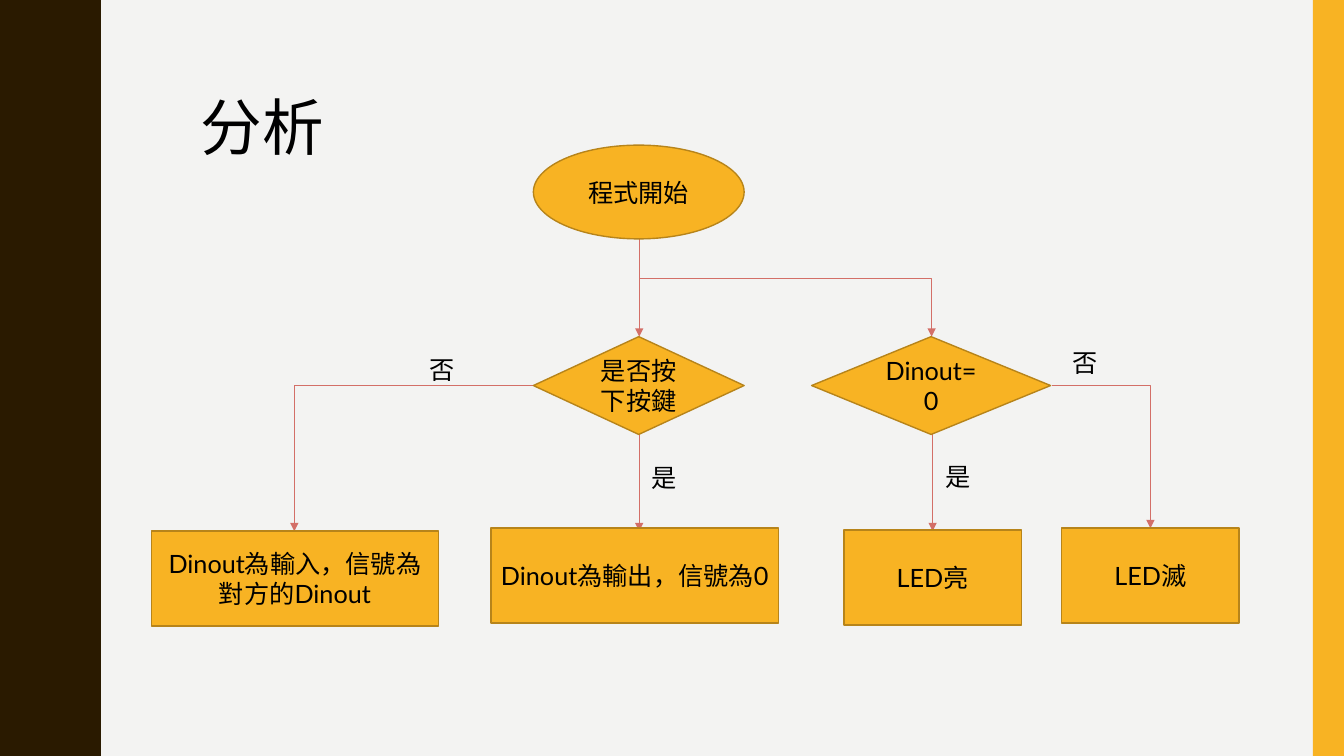
from typing import NamedTuple

from lxml.etree import SubElement
from pptx import Presentation
from pptx.dml.color import RGBColor
from pptx.enum.shapes import MSO_CONNECTOR as Link, MSO_SHAPE as Form
from pptx.enum.text import MSO_ANCHOR as Anchor, MSO_AUTO_SIZE as Fit, PP_ALIGN as Align
from pptx.oxml.ns import qn
from pptx.util import Inches, Pt

PAPER, BARK, AMBER, EDGE, ROSE, INK = "F3F3F2", "2A1A00", "F8B323", "B7841A", "D36F68", "000000"


class Node(NamedTuple):
    form: Form
    left: float
    top: float
    width: float
    height: float
    label: str


class Arrow(NamedTuple):
    x1: float
    y1: float
    x2: float
    y2: float


class Answer(NamedTuple):
    left: float
    top: float
    label: str


nodes = [
    Node(Form.OVAL, 5.29, 1.44, 2.09, 0.93, "程式開始"),
    Node(Form.FLOWCHART_DECISION, 5.29, 3.34, 2.09, 0.97, "是否按下按鍵"),
    Node(Form.FLOWCHART_PROCESS, 4.87, 5.24, 2.85, 0.94, "Dinout為輸出，信號為0"),
    Node(Form.FLOWCHART_PROCESS, 1.5, 5.27, 2.85, 0.94, "Dinout為輸入，信號為對方的Dinout"),
    Node(Form.FLOWCHART_DECISION, 8.05, 3.34, 2.37, 0.97, "Dinout=0"),
    Node(Form.FLOWCHART_PROCESS, 8.37, 5.26, 1.76, 0.94, "LED亮"),
    Node(Form.FLOWCHART_PROCESS, 10.53, 5.24, 1.76, 0.94, "LED滅"),
]
arrows = [
    Arrow(6.34, 2.37, 6.34, 3.34),
    Arrow(6.34, 4.31, 6.34, 5.27),
    Arrow(5.29, 3.82, 2.92, 5.27),
    Arrow(6.34, 2.76, 9.24, 3.34),
    Arrow(9.25, 4.31, 9.25, 5.27),
    Arrow(10.43, 3.82, 11.41, 5.24),
]
answers = [
    Answer(4.16, 3.47, "否"),
    Answer(6.36, 4.54, "是"),
    Answer(9.28, 4.53, "是"),
    Answer(10.54, 3.4, "否"),
]


def rgb(code: str) -> RGBColor:
    return RGBColor.from_string(code)


def paint(shape, fill: str, edge: str = "") -> None:
    shape.shadow.inherit = False
    shape.fill.solid()
    shape.fill.fore_color.rgb = rgb(fill)
    if edge:
        shape.line.color.rgb = rgb(edge)
        shape.line.width = Pt(1)
    else:
        shape.line.fill.background()


def write(shape, label: str, size: float = 18, font: str = "Lato", align: Align = Align.LEFT):
    shape.text_frame.text = label
    paragraph = shape.text_frame.paragraphs[0]
    paragraph.alignment = align
    for run in paragraph.runs:
        run.font.size = Pt(size)
        run.font.name = font
        run.font.color.rgb = rgb(INK)
    return paragraph


def draw_node(shapes, node: Node) -> None:
    shape = shapes.add_shape(node.form, *map(Inches, node[1:5]))
    paint(shape, AMBER, EDGE)
    write(shape, node.label, align=Align.CENTER)
    shape.text_frame.vertical_anchor = Anchor.MIDDLE


def draw_arrow(shapes, arrow: Arrow) -> None:
    bent = arrow.x1 != arrow.x2
    link = shapes.add_connector(Link.ELBOW if bent else Link.STRAIGHT, *map(Inches, arrow))
    link.line.color.rgb = rgb(ROSE)
    link.line.width = Pt(0.5)
    properties = link._element.spPr
    if bent:  # a single corner
        properties.find(qn("a:prstGeom")).set("prst", "bentConnector2")
    SubElement(properties.find(qn("a:ln")), qn("a:tailEnd"), type="triangle")
    SubElement(properties, qn("a:effectLst"))


def draw_answer(shapes, answer: Answer) -> None:
    box = shapes.add_textbox(*map(Inches, (answer.left, answer.top, 0.45, 0.4)))
    write(box, answer.label)
    box.text_frame.word_wrap = False
    box.text_frame.auto_size = Fit.SHAPE_TO_FIT_TEXT


def draw_wave(shapes) -> None:
    period = 1.5
    rise = list(zip(
        (0.78, 0.78, 0.79, 0.8, 0.81, 0.83, 0.85, 0.87, 0.89, 0.91, 0.93, 0.95, 0.96, 0.97, 0.97),
        (0, 0.07, 0.14, 0.2, 0.25, 0.29, 0.33, 0.38, 0.42, 0.46, 0.5, 0.55, 0.61, 0.68, 0.75)))
    fall = [(x, period - y) for x, y in reversed(rise[:-1])]
    edge = [(x, y + period * turn) for turn in range(5) for x, y in rise + fall]
    outline = shapes.build_freeform(0, 0, scale=Inches(1))
    outline.add_line_segments(edge + [(0, 7.5)], close=True)
    paint(outline.convert_to_shape(), BARK)


deck = Presentation()
deck.slide_width, deck.slide_height = Inches(13.33), Inches(7.5)
slide = deck.slides.add_slide(deck.slide_layouts[6])
shapes = slide.shapes

# Background and side bands
slide.background.fill.solid()
slide.background.fill.fore_color.rgb = rgb(PAPER)
draw_wave(shapes)
paint(shapes.add_shape(Form.RECTANGLE, *map(Inches, (13.02, 0, 0.31, 7.5))), AMBER)

# Title
title = shapes.add_textbox(*map(Inches, (1.37, 0.42, 11.13, 1.63)))
heading = write(title, "分析", 44, "Times New Roman")
heading._p.get_or_add_pPr().set("marL", str(Inches(0.5)))
frame = title.text_frame
frame.word_wrap = True
frame.vertical_anchor = Anchor.MIDDLE
frame.margin_left = frame.margin_top = frame.margin_right = Inches(0.12)
frame.margin_bottom = Inches(0.1)

# Flowchart: arrows lie behind the nodes
for arrow in arrows:
    draw_arrow(shapes, arrow)
for node in nodes:
    draw_node(shapes, node)
for answer in answers:
    draw_answer(shapes, answer)

deck.save("out.pptx")
